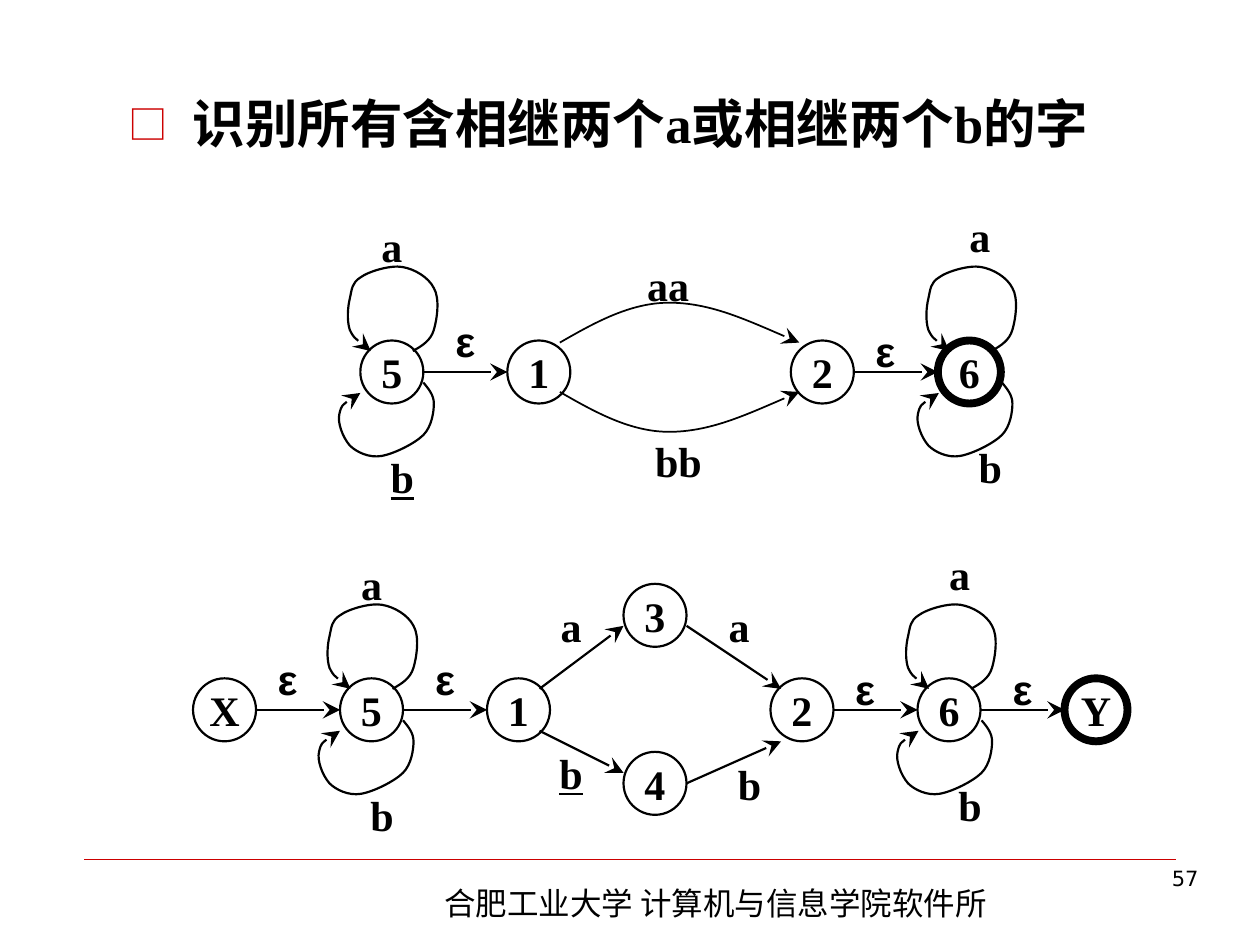
from lxml import etree
from pptx import Presentation
from pptx.dml.color import RGBColor
from pptx.enum.shapes import MSO_CONNECTOR, MSO_SHAPE
from pptx.enum.text import MSO_ANCHOR, PP_ALIGN
from pptx.oxml.ns import qn
from pptx.util import Cm, Pt

STRAIGHT, OVAL = MSO_CONNECTOR.STRAIGHT, MSO_SHAPE.OVAL
TOP, MIDDLE = MSO_ANCHOR.TOP, MSO_ANCHOR.MIDDLE
LEFT, CENTER, RIGHT = PP_ALIGN.LEFT, PP_ALIGN.CENTER, PP_ALIGN.RIGHT

COLORS = {"ink": "000000", "accent": "CC0000"}
SERIF, SANS, CHINESE, NUMBER = "Times New Roman", "Arial", "Noto Sans CJK SC", "DejaVu Sans"
GRID = 2.54 / 12  # grid step of the diagrams, in cm
RADIUS = 3        # state radius, in grid steps
THIN, NORMAL, FINAL = 1, 1.25, 4.5

# Curves in grid steps from the centre of a state: start, then Bezier triplets
UPPER_LOOP = [
    (2, -2), (2.9, -2.5), (3.7, -3), (4, -4), (4.3, -5), (4.6, -7), (4, -8),
    (3.5, -9), (2.2, -9.8), (1, -10), (-0.1, -10.2), (-2.2, -9.6), (-3, -9),
    (-3.8, -8.5), (-3.8, -7.9), (-4, -7), (-4.2, -6.2), (-4.3, -4.9), (-4, -4),
    (-3.6, -3.2), (-2.8, -2.6), (-2, -2)]
LOWER_LOOP = [
    (3, 1), (3.5, 1.6), (4, 2.2), (4, 3), (4, 3.8), (3.8, 5.2), (3, 6),
    (2.2, 6.8), (0.2, 7.8), (-1, 8), (-2.2, 8.2), (-3.4, 7.6), (-4, 7),
    (-4.7, 6.2), (-5.2, 4.8), (-5, 4), (-4.8, 3.1), (-4, 2.5), (-3, 2)]
UPPER_ARC = [(16, -2.8), (19.3, -4.7), (22.7, -6.6), (26.4, -6.6),
             (30.2, -6.6), (34.4, -4.7), (38.8, -2.8)]
LOWER_ARC = [(x, -y - 0.9) for x, y in UPPER_ARC]


def write_text(frame, text, size=24, font=SERIF, bold=True, underline=None,
               align=CENTER, anchor=MIDDLE, wrap=False, side_margin=0):
    frame.word_wrap = wrap
    frame.vertical_anchor = anchor
    frame.margin_left = frame.margin_right = Cm(side_margin)
    frame.margin_top = frame.margin_bottom = Cm(0.13)
    paragraph = frame.paragraphs[0]
    paragraph.alignment = align
    run = paragraph.add_run()
    run.text = text
    run.font.size = Pt(size)
    run.font.name = font
    run.font.bold = bold
    run.font.underline = underline
    run.font.color.rgb = RGBColor.from_string(COLORS["ink"])
    east_asian = etree.SubElement(run._r.get_or_add_rPr(), qn("a:ea"))
    east_asian.set("typeface", CHINESE)
    return paragraph


class SlideBuilder:
    def __init__(self, slide):
        self.slide = slide
        self.shapes = slide.shapes
        self.origin = (0, 0)

    def start_diagram(self, x, y):
        """Open a group whose grid starts at x, y (cm)."""
        self.shapes = self.slide.shapes.add_group_shape().shapes
        self.origin = (x, y)

    def place(self, x, y):
        return Cm(self.origin[0] + x * GRID), Cm(self.origin[1] + y * GRID)

    def square(self, x, y):
        side = Cm(2 * RADIUS * GRID)
        return *self.place(x - RADIUS, y - RADIUS), side, side

    def style_line(self, shape, width, color="ink", arrow=False):
        shape.line.color.rgb = RGBColor.from_string(COLORS[color])
        shape.line.width = Pt(width)
        if arrow:
            end = etree.SubElement(shape.line._get_or_add_ln(), qn("a:tailEnd"))
            for key, value in (("type", "stealth"), ("w", "lg"), ("len", "lg")):
                end.set(key, value)

    def title(self, text, left, top, width, height):
        shape = self.slide.shapes.title
        shape.left, shape.top, shape.width, shape.height = map(Cm, (left, top, width, height))
        paragraph = write_text(shape.text_frame, text, size=30, align=LEFT, anchor=TOP,
                               wrap=True, side_margin=0.25)
        properties = paragraph._p.get_or_add_pPr()
        properties.set("marL", str(Cm(1.3)))
        properties.set("indent", str(Cm(-1.3)))
        bullet_color = etree.SubElement(properties, qn("a:buClr"))
        etree.SubElement(bullet_color, qn("a:srgbClr")).set("val", COLORS["accent"])
        for tag, key, value in (("a:buSzPct", "val", "75000"),
                                ("a:buFont", "typeface", CHINESE),
                                ("a:buChar", "char", "□")):
            etree.SubElement(properties, qn(tag)).set(key, value)

    def text(self, text, left, top, width, height, **style):
        box = self.shapes.add_textbox(*map(Cm, (left, top, width, height)))
        write_text(box.text_frame, text, bold=False, anchor=TOP, wrap=True,
                   side_margin=0.25, **style)

    def label(self, text, x, y, **style):
        box = self.shapes.add_textbox(*self.square(x, y))
        write_text(box.text_frame, text, font=SANS if text == "ε" else SERIF, **style)

    def state(self, name, x, y=0, final=False):
        shape = self.shapes.add_shape(OVAL, *self.square(x, y))
        shape.shadow.inherit = False
        shape.fill.background()
        self.style_line(shape, FINAL if final else NORMAL)
        write_text(shape.text_frame, name)

    def line(self, start, end, width=NORMAL, **style):
        connector = self.shapes.add_connector(STRAIGHT, *start, *end)
        self.style_line(connector, width, **style)
        etree.SubElement(connector._element.spPr, qn("a:effectLst"))

    def arrow(self, start, end):
        self.line(self.place(*start), self.place(*end), arrow=True)

    def curve(self, points, x=0, width=NORMAL):
        places = [self.place(x + dx, dy) for dx, dy in points]
        builder = self.shapes.build_freeform(*places[0])
        builder.add_line_segments(places[1:], close=False)
        shape = builder.convert_to_shape()
        # Merge each three straight segments into one Bezier segment
        segments = list(shape._element.iter(qn("a:lnTo")))
        for first, second, third in zip(*[iter(segments)] * 3):
            first.tag = qn("a:cubicBezTo")
            for segment in (second, third):
                first.append(segment[0])
                segment.getparent().remove(segment)
        shape.shadow.inherit = False
        shape.fill.background()
        self.style_line(shape, width, arrow=True)

    def common_parts(self, underline):
        """States 5, 1 and 2 with the loops, arrows and labels of both diagrams."""
        for name, x in (("5", 0), ("1", 14), ("2", 41)):
            self.state(name, x)
        for x in (0, 55.1):
            self.curve(UPPER_LOOP, x)
            self.curve(LOWER_LOOP, x)
        for x in (0, 41):
            self.arrow((x + RADIUS, 0), (x + 14 - RADIUS, 0))
        for text, x, y in (("a", 0, -12), ("ε", 7, -3), ("ε", 47, -2),
                           ("a", 56, -13), ("b", 57, 9)):
            self.label(text, x, y)
        self.label("b", 1, 10, underline=underline)


def main():
    presentation = Presentation()
    presentation.slide_width, presentation.slide_height = Cm(25.4), Cm(19.05)
    builder = SlideBuilder(presentation.slides.add_slide(presentation.slide_layouts[5]))

    # Footer and title
    builder.line((Cm(1.7), Cm(17.32)), (Cm(23.7), Cm(17.32)), width=0.25, color="accent")
    builder.text("合肥工业大学 计算机与信息学院软件所", 8.71, 17.7, 11.99, 1.02,
                 size=18, font=CHINESE, align=LEFT)
    builder.text("57", 18.9, 17.32, 5.51, 1.32, size=12, font=NUMBER, align=RIGHT)
    builder.title("识别所有含相继两个a或相继两个b的字", 2.34, 1.7, 21.59, 1.7)

    # Lower diagram: every edge carries a single letter
    builder.start_diagram(7.49, 14.31)
    builder.common_parts(underline=None)
    for name, x, y in (("X", -14, 0), ("3", 27, -9), ("4", 27, 7), ("6", 55, 0)):
        builder.state(name, x, y)
    builder.state("Y", 69, final=True)
    for start, end in (((-11, 0), (-3, 0)), ((58, 0), (66, 0)),
                       ((16, -2), (24, -8)), ((16, 2), (24, 6)),
                       ((30, -8), (39, -2)), ((30, 7), (39, 3))):
        builder.arrow(start, end)
    for text, x, y in (("ε", -8, -3), ("ε", 62, -2), ("a", 19, -8),
                       ("a", 35, -8), ("b", 36, 7)):
        builder.label(text, x, y)
    builder.label("b", 19, 6, underline=True)

    # Upper diagram: edges aa and bb between states 1 and 2
    builder.start_diagram(7.9, 7.5)
    builder.common_parts(underline=True)
    builder.state("6", 55, final=True)
    builder.label("aa", 26.3, -8.3)
    builder.label("bb", 27.3, 8.4)
    for arc in (UPPER_ARC, LOWER_ARC):
        builder.curve(arc, width=THIN)

    presentation.save("out.pptx")


if __name__ == "__main__":
    main()
